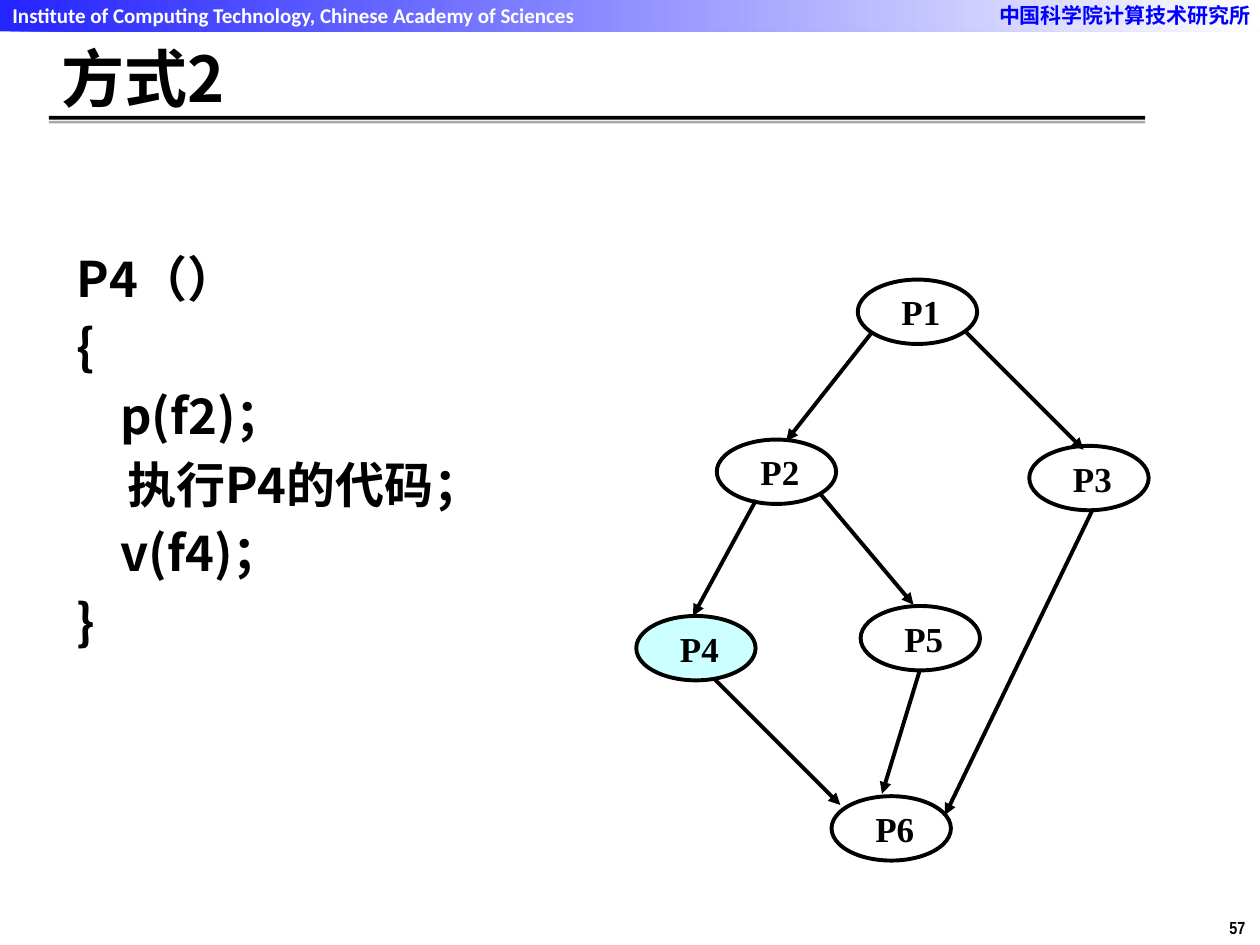
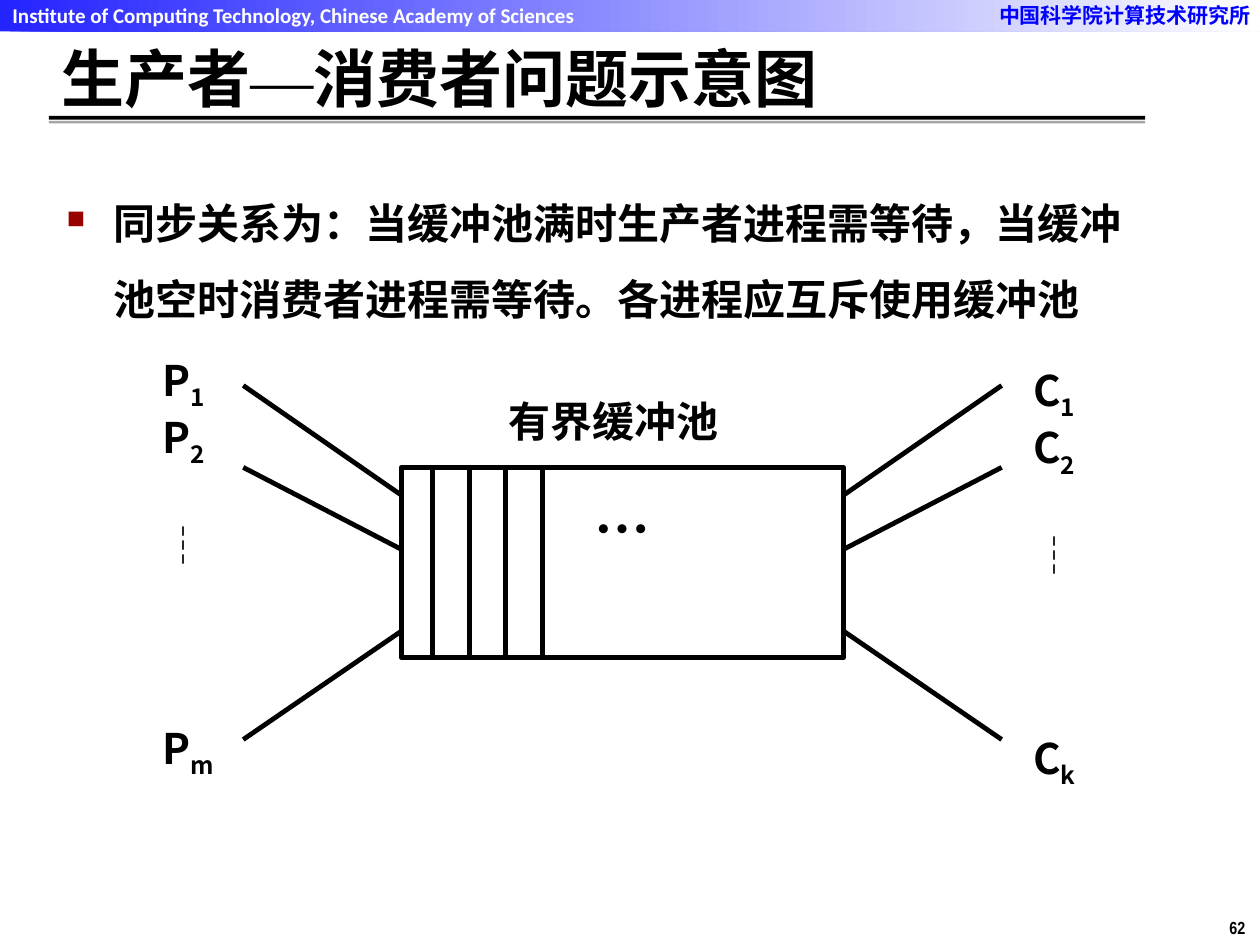
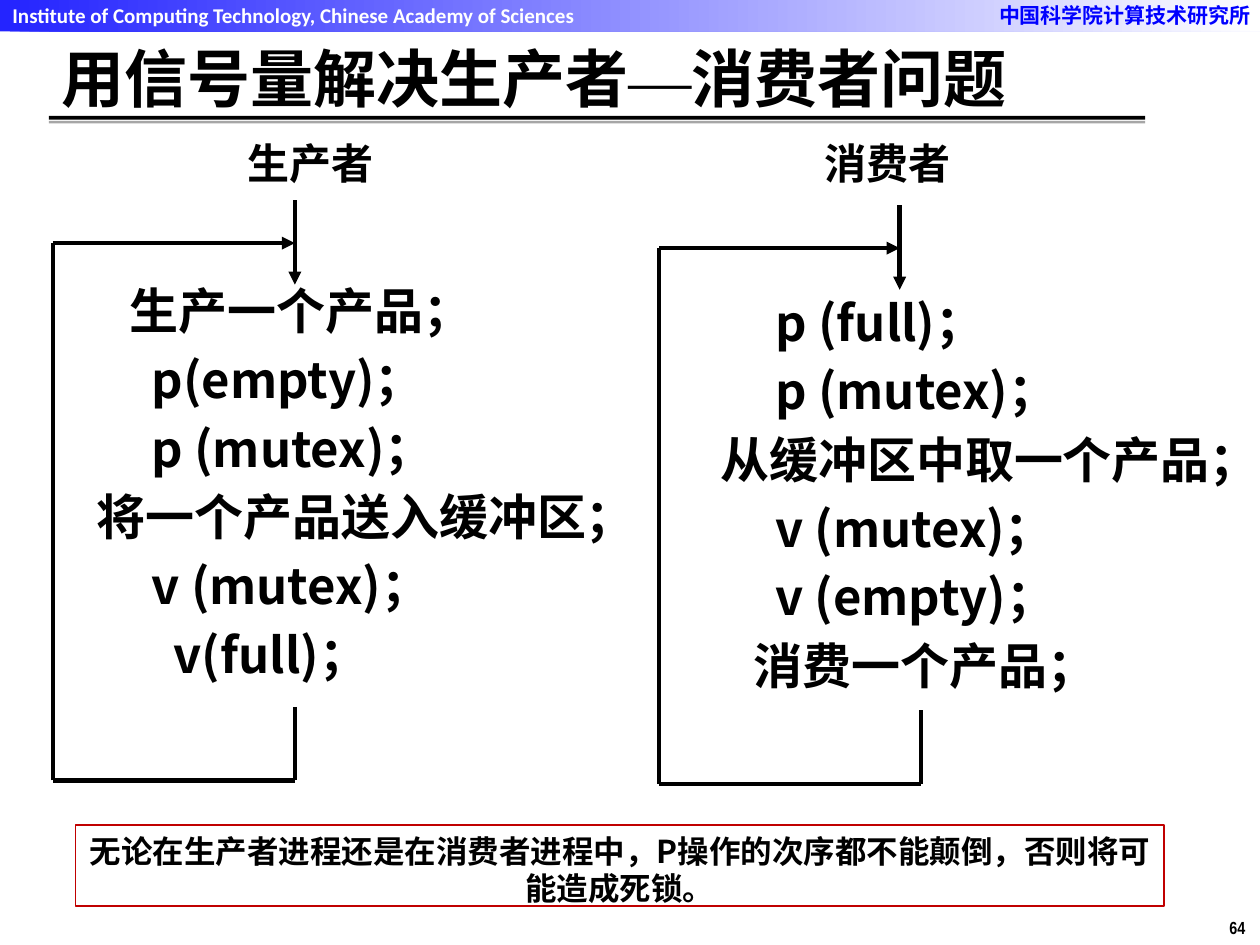
from dataclasses import dataclass
from lxml import etree
from pptx import Presentation
from pptx.dml.color import RGBColor
from pptx.enum.shapes import MSO_CONNECTOR, MSO_SHAPE
from pptx.enum.text import MSO_ANCHOR, PP_ALIGN
from pptx.oxml.ns import qn
from pptx.util import Pt

LINE = MSO_CONNECTOR.STRAIGHT
RECT, OVAL = MSO_SHAPE.RECTANGLE, MSO_SHAPE.OVAL
TOP, MID = MSO_ANCHOR.TOP, MSO_ANCHOR.MIDDLE
LEFT, CENTER, FULL = PP_ALIGN.LEFT, PP_ALIGN.CENTER, PP_ALIGN.JUSTIFY
PAD = (7.2, 3.6, 7.2, 3.6)
FLUSH = (0, 0, 0, 0)


@dataclass(frozen=True)
class Theme:
    black: str = "000000"
    white: str = "FFFFFF"
    blue: str = "0000FF"
    gray: str = "A6A6A6"
    cyan: str = "CCFFFF"
    red: str = "C00000"
    mark: str = "990000"
    sans: str = "Noto Sans CJK SC"
    serif: str = "Times New Roman"
    latin: str = "Calibri"
    narrow: str = "Arial Narrow"
    title: int = 36
    dots: int = 32
    code: int = 28
    body: int = 24
    node: int = 20
    note: int = 18
    band: int = 12
    page: int = 10


T = Theme()


def rgb(code):
    return RGBColor.from_string(code)


def add(parent, tag, **attrs):
    return etree.SubElement(parent, qn(tag), attrs)


# Text helpers
def style(font, size, face, color):
    font.size, font.name, font.bold = Pt(size), face, True
    font.color.rgb = rgb(color)
    add(font._element, "a:ea", typeface=face)


def indent(para, left, first=0):
    props = para._p.get_or_add_pPr()
    props.set("marL", str(Pt(left)))
    props.set("indent", str(Pt(first)))


def write(frame, lines, size, face=T.sans, color=T.black, align=LEFT,
          pad=PAD, anchor=TOP, wrap=True):
    """Fill a frame; each line is a string or a list of run strings."""
    frame.word_wrap, frame.vertical_anchor = wrap, anchor
    (frame.margin_left, frame.margin_top,
     frame.margin_right, frame.margin_bottom) = map(Pt, pad)
    for i, line in enumerate(lines):
        para = frame.add_paragraph() if i else frame.paragraphs[0]
        para.alignment = align
        for part in [line] if isinstance(line, str) else line:
            para.add_run().text = part
        style(para.font, size, face, color)
    return frame.paragraphs


def label(slide, box, lines, size, **opts):
    shape = slide.shapes.add_textbox(*map(Pt, box))
    return write(shape.text_frame, lines, size, **opts)


# Shape helpers
def block(slide, kind, box, fill=None, line=None, width=1):
    shape = slide.shapes.add_shape(kind, *map(Pt, box))
    shape.shadow.inherit = False
    if fill:
        shape.fill.solid()
        shape.fill.fore_color.rgb = rgb(fill)
    else:
        shape.fill.background()
    if line:
        shape.line.color.rgb = rgb(line)
        shape.line.width = Pt(width)
    else:
        shape.line.fill.background()
    return shape


def link(slide, x1, y1, x2, y2, width, arrow=False):
    line = slide.shapes.add_connector(LINE, *map(Pt, (x1, y1, x2, y2)))
    line.line.color.rgb = rgb(T.black)
    line.line.width = Pt(width)
    if arrow:
        add(line.line._get_or_add_ln(), "a:tailEnd", type="triangle")
    add(line._element.spPr, "a:effectLst")


# Shared band, title and page number
def base(deck, title, page):
    slide = deck.slides.add_slide(deck.slide_layouts[6])
    band = block(slide, RECT, (0, 0, 720, 18))
    band.fill.gradient()
    band.fill.gradient_angle = 0
    for stop, color in zip(band.fill.gradient_stops, (T.blue, T.white)):
        stop.color.rgb = rgb(color)
    for color in band._element.spPr.iter(qn("a:srgbClr")):
        add(color, "a:alpha", val="85000")
    label(slide, (563.8, -2.2, 161.3, 21.6), ["中国科学院计算技术研究所"],
          T.band, color=T.blue)
    label(slide, (0, -2.2, 342, 21.6),
          ["Institute of Computing Technology, Chinese Academy of Sciences"],
          T.band, face=T.latin, color=T.white)
    label(slide, (695.5, 520.5, 24.5, 19.4), [str(page)], T.page,
          face=T.narrow, wrap=False)
    block(slide, RECT, (28, 66.2, 626.4, 2.2), T.black)
    block(slide, RECT, (28, 69.1, 626.4, 1.4), T.gray)
    # A dash between words is set in the serif face
    head, dash, rest = title.partition("—")
    para = label(slide, (28, 23.8, 625, 40.3),
                 [[part for part in (head, dash, rest) if part]],
                 T.title, anchor=MID)[0]
    if dash:
        style(para.runs[1].font, T.title, T.serif, T.black)
        para.runs[1].font.bold = False
    return slide


def code(slide, box, lines):
    """Place (indent, text) lines of code."""
    paras = label(slide, box, [text for _, text in lines], T.code, align=FULL)
    for para, (left, _) in zip(paras, lines):
        para.space_before = Pt(5.6)
        indent(para, left)


# Precedence graph
def graph(slide, box):
    x, y = box[:2]
    nodes = {"P1": (126.6, 0), "P2": (46, 91.4), "P3": (224.6, 95),
             "P4": (0, 192.2), "P5": (128.2, 186.5), "P6": (111.6, 295.2)}
    edges = [(134.6, 30.2, 85.7, 92.2), (188.6, 30.2, 255.6, 97.2),
             (68.4, 126, 32.4, 192.2), (44.6, 228.2, 116.6, 300.2),
             (260.6, 131.8, 176.4, 306), (105.1, 122.4, 158.4, 185.8),
             (162, 223.2, 140.4, 293.8)]
    for name, (dx, dy) in nodes.items():
        fill = T.cyan if name == "P4" else T.white
        oval = block(slide, OVAL, (x + dx, y + dy, 68.2, 36.8),
                     fill, T.black, 2.25)
        para = write(oval.text_frame, [name], T.node, face=T.serif,
                     align=FULL, pad=FLUSH, anchor=MID)[0]
        indent(para, 15)
    for x1, y1, x2, y2 in edges:
        link(slide, x + x1, y + y1, x + x2, y + y2, 2.25, True)


# Bounded buffer with its producers and consumers
def names(slide, box, letter, last):
    paras = label(slide, box, [[letter, "1"], [letter, "2"], "┆",
                               [letter, last]],
                  T.body, align=FULL, pad=FLUSH)
    for para in paras:
        for run in para.runs[1:]:
            run.font._element.set("baseline", "-25000")
    paras[2].space_before = Pt(29)
    paras[3].space_before = Pt(87)


def pool(slide, box):
    x, y, w, h = box
    wide, tall = 252.8, 108.8
    left, top = x + (w - wide) / 2, y + 46.8
    right = left + wide
    rect = block(slide, RECT, (left, top, wide, tall), T.white, T.black, 2.75)
    write(rect.text_frame, ["…"], T.dots, align=CENTER,
          pad=(7.2, 15.6, 7.2, 3.6))
    for i in range(4):
        slot = left + 18 + 20.9 * i
        link(slide, slot, top, slot, top + tall, 2.75)
    for outer, inner in ((0, 62.6), (46.8, 93.6), (h, 140.4)):
        link(slide, x, y + outer, left, y + inner, 2.75)
        link(slide, right, y + inner, x + w, y + outer, 2.75)
    label(slide, (left + 61.2, y + 5.8, 136.8, 36), ["有界缓冲池"],
          T.body, align=FULL, pad=FLUSH)
    names(slide, (x - 46.1, y - 18, 35.3, 237.6), "P", "m")
    names(slide, (x + w + 18, y - 12.2, 36, 237), "C", "k")


def point(slide, box, text):
    para = label(slide, box, [text], T.body)[0]
    para.line_spacing, para.space_before = 1.5, Pt(4.8)
    indent(para, 27, -27)
    props = para._p.get_or_add_pPr()
    marks = [etree.Element(qn(tag)) for tag in
             ("a:buClr", "a:buSzPct", "a:buChar")]
    add(marks[0], "a:srgbClr", val=T.mark)
    marks[1].set("val", "60000")
    marks[2].set("char", "■")
    for mark in marks:
        props.find(qn("a:defRPr")).addprevious(mark)


# Endless loop around a column of code
def loop(slide, box, entry, leave):
    x, y, w, h = box
    turn, end = y + 24.4, y + h
    into, out = x + entry, x + leave
    link(slide, into, y, into, y + 48.2, 2.5, True)
    link(slide, out, end - 42, out, end, 2.5)
    link(slide, out, end, x, end, 2.5)
    link(slide, x, end, x, turn, 2.5)
    link(slide, x, turn, into, turn, 2.5, True)


def heading(slide, box, text):
    label(slide, box, [text], T.body, align=CENTER)


def note(slide, box, text):
    rect = block(slide, RECT, box, line=T.red)
    write(rect.text_frame, [text], T.note, align=CENTER)


# Slides
def order(deck):
    slide = base(deck, "方式2", 57)
    code(slide, (36.7, 138.2, 247, 262),
         [(0, "P4（）"), (0, "{"), (25, "p(f2)；"), (29, "执行P4的代码；"),
          (25, "v(f4)；"), (0, "}")])
    graph(slide, (363.6, 159.8, 293, 332))


def buffer(deck):
    slide = base(deck, "生产者—消费者问题示意图", 62)
    point(slide, (31, 95, 622, 420.5),
          "同步关系为：当缓冲池满时生产者进程需等待，"
          "当缓冲池空时消费者进程需等待。各进程应互斥使用缓冲池")
    pool(slide, (139, 220.3, 433.4, 202.3))


def solve(deck):
    slide = base(deck, "用信号量解决生产者—消费者问题", 64)
    code(slide, (48.2, 157, 335.5, 288),
         [(19, "生产一个产品；"), (31.5, "p(empty)；"), (31.5, "p (mutex)；"),
          (0, "将一个产品送入缓冲区；"), (31.5, "v (mutex)；"),
          (44, "v(full)；")])
    code(slide, (404.6, 163.4, 323.3, 315.4),
         [(31.5, "p (full)；"), (31.5, "p (mutex)；"),
          (0, "从缓冲区中取一个产品；"), (31.5, "v (mutex)；"),
          (31.5, "v (empty)；"), (19, "消费一个产品；")])
    loop(slide, (30.2, 114.5, 138.3, 331.5), 138.3, 138.3)
    loop(slide, (376.6, 117.4, 149.7, 330.5), 137.5, 149.7)
    heading(slide, (99.4, 74.9, 156.2, 36), "生产者")
    heading(slide, (429.1, 74.9, 156.2, 36), "消费者")
    note(slide, (43.2, 471.6, 622, 46),
         "无论在生产者进程还是在消费者进程中，"
         "P操作的次序都不能颠倒，否则将可能造成死锁。")


def main():
    deck = Presentation()
    deck.slide_width, deck.slide_height = Pt(720), Pt(540)
    for build in (order, buffer, solve):
        build(deck)
    deck.save("out.pptx")


if __name__ == "__main__":
    main()
